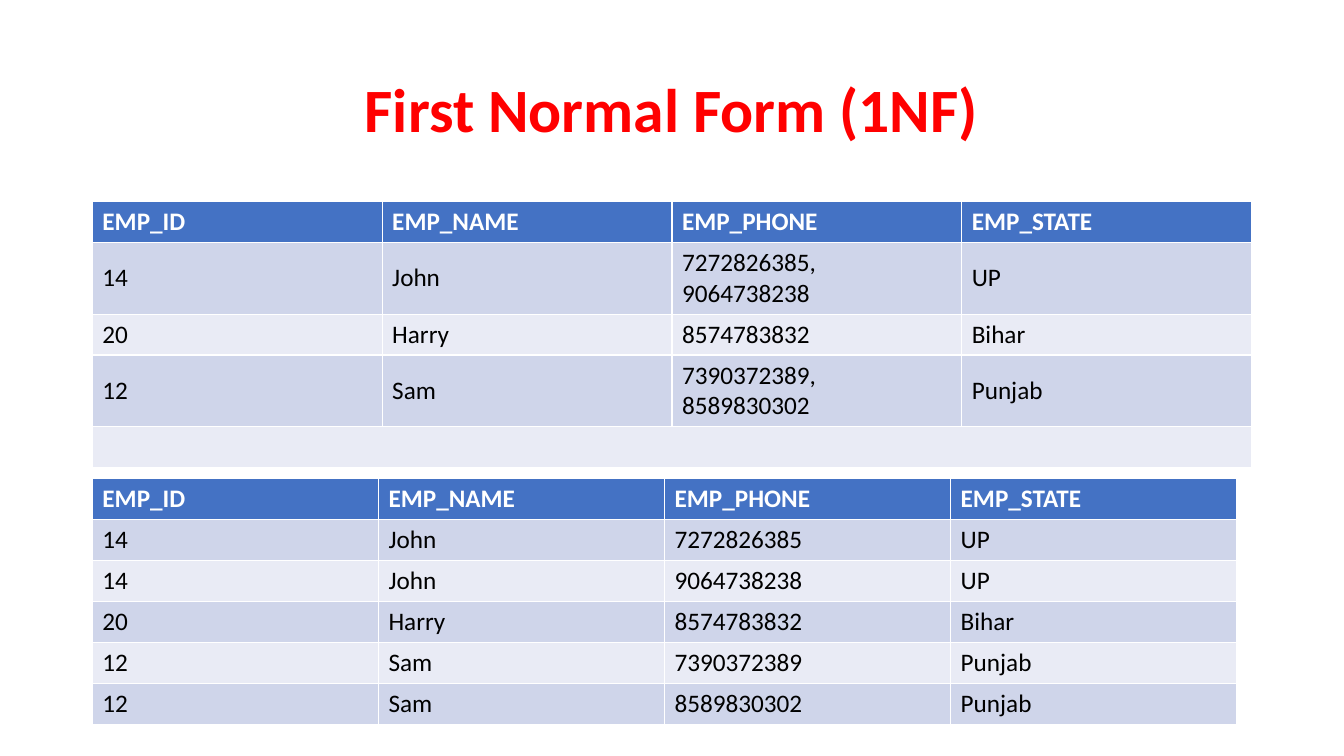
from dataclasses import dataclass

from pptx import Presentation
from pptx.dml.color import RGBColor
from pptx.enum.text import MSO_ANCHOR, PP_ALIGN
from pptx.slide import Slide
from pptx.text.text import TextFrame
from pptx.util import Emu, Pt

PX = 9525  # EMU per px, 96 px to the inch
FONT = "Calibri"
COLORS = {
    "title": "FF0000",
    "header": "4472C4",
    "header_text": "FFFFFF",
    "band_dark": "CFD5EA",
    "band_light": "E9EBF5",
    "text": "000000",
}
COLUMNS = ("EMP_ID", "EMP_NAME", "EMP_PHONE", "EMP_STATE")


@dataclass(frozen=True)
class EmployeeTable:
    top: int
    width: int
    row_heights: tuple[int, ...]
    records: tuple[tuple[str, ...], ...]
    left: int = 88


TABLES = (
    EmployeeTable(192, 1104, (37, 66, 37, 66, 37), (
        ("14", "John", "7272826385,\n9064738238", "UP"),
        ("20", "Harry", "8574783832", "Bihar"),
        ("12", "Sam", "7390372389,\n8589830302", "Punjab"),
        (),
    )),
    EmployeeTable(456, 1090, (39,) * 6, (
        ("14", "John", "7272826385", "UP"),
        ("14", "John", "9064738238", "UP"),
        ("20", "Harry", "8574783832", "Bihar"),
        ("12", "Sam", "7390372389", "Punjab"),
        ("12", "Sam", "8589830302", "Punjab"),
    )),
)


def px(n: int) -> Emu:
    return Emu(n * PX)


def rgb(name: str) -> RGBColor:
    return RGBColor.from_string(COLORS[name])


def write(tf: TextFrame, text: str, *, size: int = 18, color: str = "text",
          bold: bool = False, align: PP_ALIGN = PP_ALIGN.LEFT,
          spacing: float = 1.0) -> None:
    p = tf.paragraphs[0]
    p.text = text
    p.alignment = align
    p.line_spacing = spacing
    for r in p.runs:
        r.font.name = FONT
        r.font.size = Pt(size)
        r.font.bold = bold
        r.font.color.rgb = rgb(color)


def add_title(s: Slide, text: str) -> None:
    sp = s.shapes.title
    sp.left, sp.top, sp.width, sp.height = px(88), px(38), px(1104), px(139)
    sp.text_frame.vertical_anchor = MSO_ANCHOR.MIDDLE
    write(sp.text_frame, text, size=44, color="title", bold=True,
          align=PP_ALIGN.CENTER, spacing=0.9)


def row_fill(row: int) -> str:
    if row == 0:
        return "header"
    return "band_dark" if row % 2 else "band_light"


def add_employee_table(s: Slide, spec: EmployeeTable) -> None:
    """Draw a header and banded records; an empty record is one merged row."""
    rows = (COLUMNS, *spec.records)
    table = s.shapes.add_table(
        len(rows), len(COLUMNS), px(spec.left), px(spec.top),
        px(spec.width), px(sum(spec.row_heights))).table
    for column in table.columns:
        column.width = px(spec.width) // len(COLUMNS)
    for i, (values, height) in enumerate(zip(rows, spec.row_heights)):
        table.rows[i].height = px(height)
        for cell in table.rows[i].cells:
            cell.fill.solid()
            cell.fill.fore_color.rgb = rgb(row_fill(i))
            cell.vertical_anchor = MSO_ANCHOR.MIDDLE
        if not values:
            table.cell(i, 0).merge(table.cell(i, len(COLUMNS) - 1))
        for j, value in enumerate(values):
            write(table.cell(i, j).text_frame, value, bold=i == 0,
                  color="text" if i else "header_text")


def main() -> None:
    prs = Presentation()
    prs.slide_width, prs.slide_height = px(1280), px(720)
    s = prs.slides.add_slide(prs.slide_layouts.get_by_name("Title Only"))
    add_title(s, "First Normal Form (1NF)")
    for spec in TABLES:
        add_employee_table(s, spec)
    prs.save("out.pptx")


if __name__ == "__main__":
    main()
